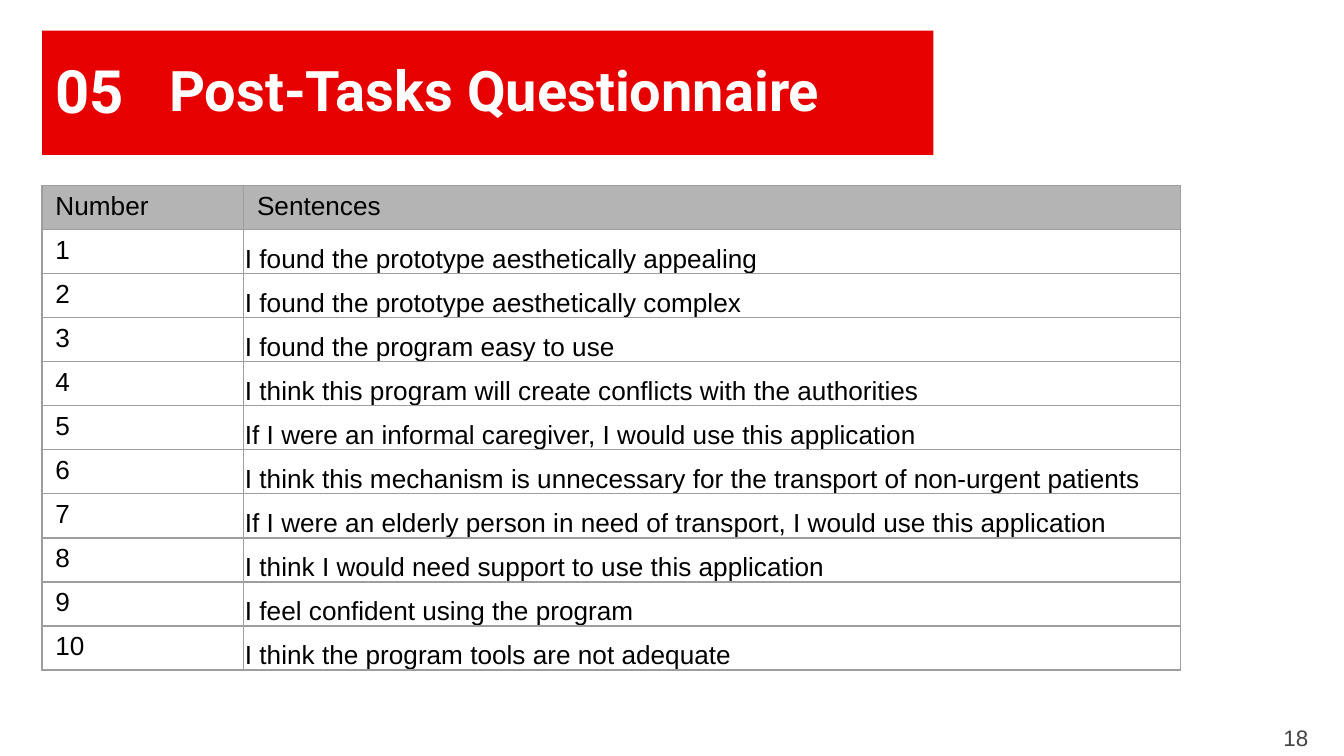
from pptx import Presentation
from pptx.dml.color import RGBColor
from pptx.enum.shapes import MSO_SHAPE as Shape
from pptx.enum.text import MSO_ANCHOR as Anchor, PP_ALIGN as Align
from pptx.oxml import parse_xml
from pptx.oxml.ns import nsdecls
from pptx.util import Pt

RED = RGBColor(0xE6, 0x00, 0x00)
WHITE = RGBColor(0xFF, 0xFF, 0xFF)
BLACK = RGBColor(0x00, 0x00, 0x00)
HEADER_GRAY = RGBColor(0xB4, 0xB4, 0xB4)
BORDER_GRAY = RGBColor(0x9E, 0x9E, 0x9E)
NUMBER_GRAY = RGBColor(0x43, 0x43, 0x43)

LEFT = 22.5
SENTENCES = [
    "I found the prototype aesthetically appealing",
    "I found the prototype aesthetically complex",
    "I found the program easy to use",
    "I think this program will create conflicts with the authorities",
    "If I were an informal caregiver, I would use this application",
    "I think this mechanism is unnecessary for the transport of non-urgent patients",
    "If I were an elderly person in need of transport, I would use this application",
    "I think I would need support to use this application",
    "I feel confident using the program",
    "I think the program tools are not adequate",
]


def add_run(paragraph, text, font, size, color, bold=False):
    run = paragraph.add_run()
    run.text = text
    run.font.name = font
    run.font.size = Pt(size)
    run.font.color.rgb = color
    run.font.bold = bold


def add_label(left, top, width, height, anchor, inset_y):
    label = slide.shapes.add_textbox(Pt(left), Pt(top), Pt(width), Pt(height))
    frame = label.text_frame
    frame.word_wrap = True
    frame.vertical_anchor = anchor
    frame.margin_left = frame.margin_right = Pt(7.2)
    frame.margin_top = frame.margin_bottom = Pt(inset_y)
    return frame.paragraphs[0]


deck = Presentation()
deck.slide_width, deck.slide_height = Pt(720), Pt(405)
slide = deck.slides.add_slide(deck.slide_layouts[6])

# Title banner
banner = slide.shapes.add_shape(Shape.RECTANGLE, Pt(LEFT), Pt(16.5), Pt(477.5), Pt(66.5))
banner.shadow.inherit = False
banner.fill.solid()
banner.fill.fore_color.rgb = RED
banner.line.fill.background()

title = add_label(83.5, 27.4, 423.4, 45.4, Anchor.BOTTOM, 7.2)
add_run(title, "Post-Tasks Questionnaire", "Roboto", 30, WHITE, bold=True)

# Questionnaire table
rows = [("Number", "Sentences")]
rows += [(str(number), sentence) for number, sentence in enumerate(SENTENCES, 1)]
questionnaire = slide.shapes.add_table(
    len(rows), 2, Pt(LEFT), Pt(99.5), Pt(610), Pt(254)).table
questionnaire.horz_banding = False
questionnaire.columns[0].width = Pt(108)
questionnaire.columns[1].width = Pt(502)

for r, texts in enumerate(rows):
    questionnaire.rows[r].height = Pt(23.5 if r == 0 else 23.05)
    for c, text in enumerate(texts):
        cell = questionnaire.cell(r, c)
        if r > 0 and c == 1:
            cell.vertical_anchor = Anchor.BOTTOM
            cell.margin_left = cell.margin_right = cell.margin_top = Pt(0.75)
            cell.margin_bottom = 0
        else:
            cell.vertical_anchor = Anchor.TOP
            cell.margin_left = cell.margin_right = Pt(7.2)
            cell.margin_top = cell.margin_bottom = Pt(3.4)
        add_run(cell.text_frame.paragraphs[0], text, "Arial", 14, BLACK)

        # Borders come before the fill in the cell properties
        properties = cell._tc.get_or_add_tcPr()
        for side in ("lnL", "lnR", "lnT", "lnB"):
            properties.append(parse_xml(
                f'<a:{side} {nsdecls("a")} w="{Pt(0.75)}"><a:solidFill>'
                f'<a:srgbClr val="{BORDER_GRAY}"/></a:solidFill></a:{side}>'))
        if r == 0:
            cell.fill.solid()
            cell.fill.fore_color.rgb = HEADER_GRAY
        else:
            cell.fill.background()

# Section number
section = add_label(LEFT, 29.5, 61, 37.5, Anchor.MIDDLE, 7.2)
add_run(section, "05", "Roboto", 32, WHITE, bold=True)

# Page number
page = add_label(663, 384.5, 45, 15, Anchor.TOP, 3.6)
page.alignment = Align.RIGHT
add_run(page, "18", "Arial", 12, NUMBER_GRAY)

deck.save("out.pptx")
